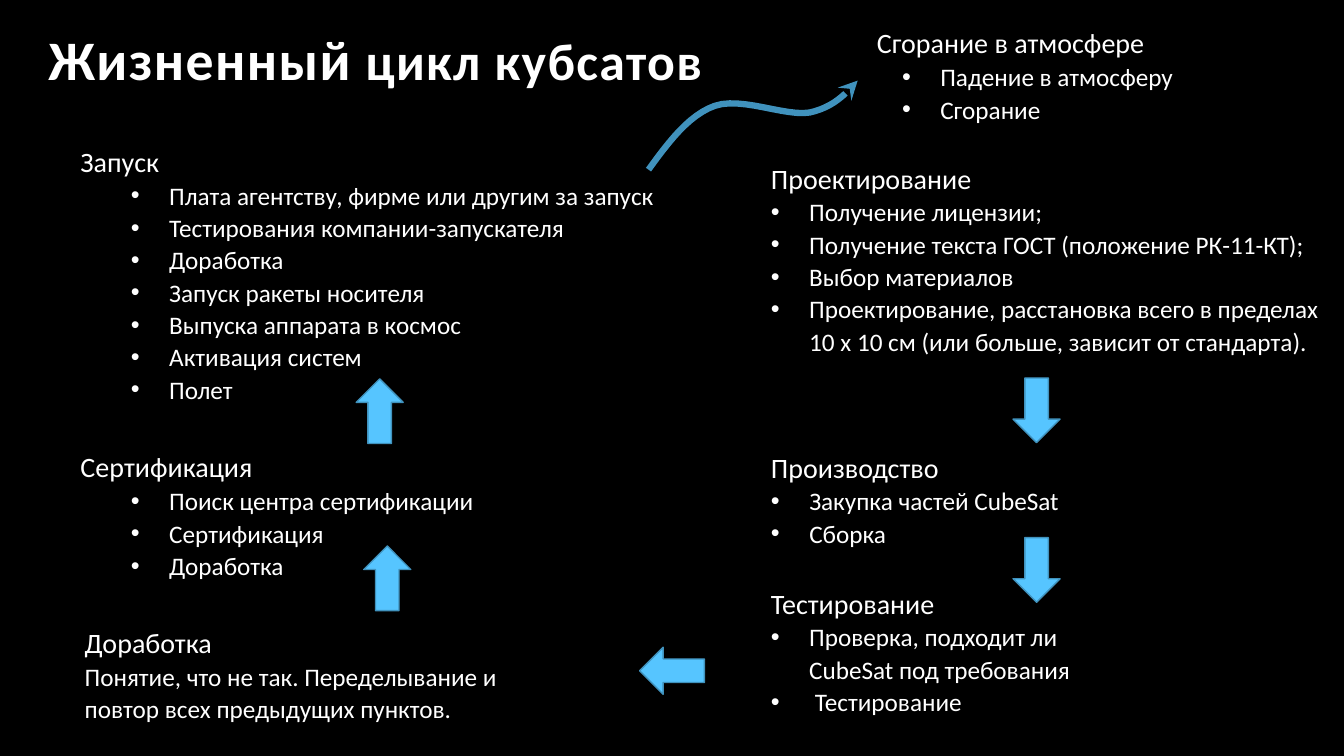
from lxml import etree
from pptx import Presentation
from pptx.dml.color import RGBColor
from pptx.enum.shapes import MSO_SHAPE
from pptx.enum.text import MSO_ANCHOR, MSO_AUTO_SIZE, PP_ALIGN
from pptx.oxml.ns import qn
from pptx.util import Inches, Pt

DOWN_ARROW = MSO_SHAPE.DOWN_ARROW
BOTTOM, TOP = MSO_ANCHOR.BOTTOM, MSO_ANCHOR.TOP
FIXED = MSO_AUTO_SIZE.NONE
LEFT = PP_ALIGN.LEFT
TITLE_ONLY = 5
COLUMNS, ROWS = 160, 90
WIDTH, HEIGHT = Inches(13.33), Inches(7.5)
FONT = "Calibri"
WHITE, BLACK, SKY, STEEL = "FFFFFF", "000000", "56C5FF", "4092BD"
HANGING = 0.38

STAGES = [
    ((90.6, 18.3, 68.4, 28.4), "Проектирование", 0, HANGING, [
        "Получение лицензии;",
        "Получение текста ГОСТ (положение РК-11-КТ);",
        "Выбор материалов",
        "Проектирование, расстановка всего в пределах 10 х 10 см (или больше, зависит от стандарта).",
    ]),
    ((90.6, 52.7, 37.8, 13.1), "Производство", 0, HANGING, [
        "Закупка частей CubeSat", "Сборка",
    ]),
    ((90.6, 68.9, 43.2, 17), "Тестирование", 0, HANGING, [
        "Проверка, подходит ли CubeSat под требования", " Тестирование",
    ]),
    ((8.9, 73.6, 60.5, 13.1), "Доработка", 0, 0, [
        "Понятие, что не так. Переделывание и повтор всех предыдущих пунктов.",
    ]),
    ((8.4, 52.7, 51.7, 17), "Сертификация", 0, 0.88, [
        "Поиск центра сертификации", "Сертификация", "Доработка",
    ]),
    ((8.4, 16.3, 73.4, 32.6), "Запуск", 0, 0.88, [
        "Плата агентству, фирме или другим за запуск",
        "Тестирования компании-запускателя",
        "Доработка",
        "Запуск ракеты носителя",
        "Выпуска аппарата в космос",
        "Активация систем",
        "Полет",
    ]),
    ((100.2, 2.2, 46.6, 13.1), "Сгорание в атмосфере", 0.25, 0.88, [
        "Падение в атмосферу", "Сгорание",
    ]),
]
ARROWS = [
    (120.6, 45, 0), (120.6, 64, 0), (77.2, 76, 90), (43.3, 65, 180), (42.4, 45.1, 180),
]
ARROW_WIDTH, ARROW_HEIGHT = 5.6, 7.7
REENTRY_CURVES = [
    ((77.2, 20.2), (79.6, 16.9), (82, 13.7), (85.1, 12.6)),
    ((85.1, 12.6), (88.3, 11.5), (93.5, 13.9), (96.4, 13.4)),
    ((96.4, 13.4), (99.1, 12.8), (100.6, 11.3), (102.1, 9.6)),
]
CURVE_STEPS = 12


def color(value):
    return RGBColor.from_string(value)


def place(column, row, columns, rows):
    return (round(WIDTH * column / COLUMNS), round(HEIGHT * row / ROWS),
            round(WIDTH * columns / COLUMNS), round(HEIGHT * rows / ROWS))


def style_font(font, size):
    font.name = FONT
    font.size = Pt(size)
    font.color.rgb = color(WHITE)


def indent(paragraph, margin, first_line, bullet):
    properties = paragraph._p.get_or_add_pPr()
    properties.set("marL", str(Inches(margin)))
    properties.set("indent", str(Inches(first_line)))
    if bullet:
        etree.SubElement(properties, qn("a:buFont")).set("typeface", "Arial")
        etree.SubElement(properties, qn("a:buChar")).set("char", "•")


def add_title(slide, box):
    title = slide.shapes.title
    title.left, title.top, title.width, title.height = place(*box)
    frame = title.text_frame
    frame.auto_size = FIXED
    frame.word_wrap = True
    frame.vertical_anchor = BOTTOM
    paragraph = frame.paragraphs[0]
    paragraph.alignment = LEFT
    paragraph.line_spacing = 0.9
    for text, size in (("Жизненный", 39.8), (" цикл кубсатов", 37)):
        run = paragraph.add_run()
        run.text = text
        style_font(run.font, size)
        run.font.bold = True
        properties = run._r.get_or_add_rPr()
        properties.set("spc", "100")
        effects = etree.Element(qn("a:effectLst"))
        shadow = etree.SubElement(effects, qn("a:outerShdw"),
                                  blurRad="38100", dist="38100", dir="2700000")
        tint = etree.SubElement(shadow, qn("a:srgbClr"), val=WHITE)
        etree.SubElement(tint, qn("a:alpha"), val="50000")
        properties.find(qn("a:solidFill")).addnext(effects)


def add_stage(slide, box, heading, heading_indent, margin, steps):
    frame = slide.shapes.add_textbox(*place(*box)).text_frame
    frame.word_wrap = True
    frame.vertical_anchor = TOP
    for number, text in enumerate([heading, *steps]):
        paragraph = frame.add_paragraph() if number else frame.paragraphs[0]
        paragraph.text = text
        paragraph.line_spacing = 1.07
        if number:
            indent(paragraph, margin, -HANGING if margin else 0, margin > 0)
        else:
            indent(paragraph, 0, heading_indent, False)
        style_font(paragraph.font, 18 if number else 20)


def add_arrow(slide, column, row, rotation):
    arrow = slide.shapes.add_shape(
        DOWN_ARROW, *place(column, row, ARROW_WIDTH, ARROW_HEIGHT))
    arrow.rotation = rotation
    arrow.shadow.inherit = False
    arrow.fill.solid()
    arrow.fill.fore_color.rgb = color(SKY)
    arrow.line.color.rgb = color(STEEL)
    arrow.line.width = Pt(1)


def curve_point(controls, share):
    rest = 1 - share
    weights = (rest ** 3, 3 * rest ** 2 * share, 3 * rest * share ** 2, share ** 3)
    column, row = (sum(weight * value for weight, value in zip(weights, values))
                   for values in zip(*controls))
    return place(column, row, 0, 0)[:2]


def add_reentry_arrow(slide, curves):
    points = [curve_point(controls, step / CURVE_STEPS)
              for controls in curves for step in range(1, CURVE_STEPS + 1)]
    builder = slide.shapes.build_freeform(*curve_point(curves[0], 0))
    builder.add_line_segments(points, close=False)
    arrow = builder.convert_to_shape()
    arrow.shadow.inherit = False
    arrow.fill.background()
    arrow.line.color.rgb = color(STEEL)
    arrow.line.width = Pt(4.5)
    etree.SubElement(arrow.line._get_or_add_ln(), qn("a:tailEnd"), type="stealth")


def main():
    presentation = Presentation()
    presentation.slide_width, presentation.slide_height = WIDTH, HEIGHT
    slide = presentation.slides.add_slide(presentation.slide_layouts[TITLE_ONLY])
    slide.background.fill.solid()
    slide.background.fill.fore_color.rgb = color(BLACK)
    for stage in STAGES:
        add_stage(slide, *stage)
    add_title(slide, (4.6, 2, 82.7, 9.6))
    for arrow in ARROWS:
        add_arrow(slide, *arrow)
    add_reentry_arrow(slide, REENTRY_CURVES)
    presentation.save("out.pptx")


if __name__ == "__main__":
    main()
